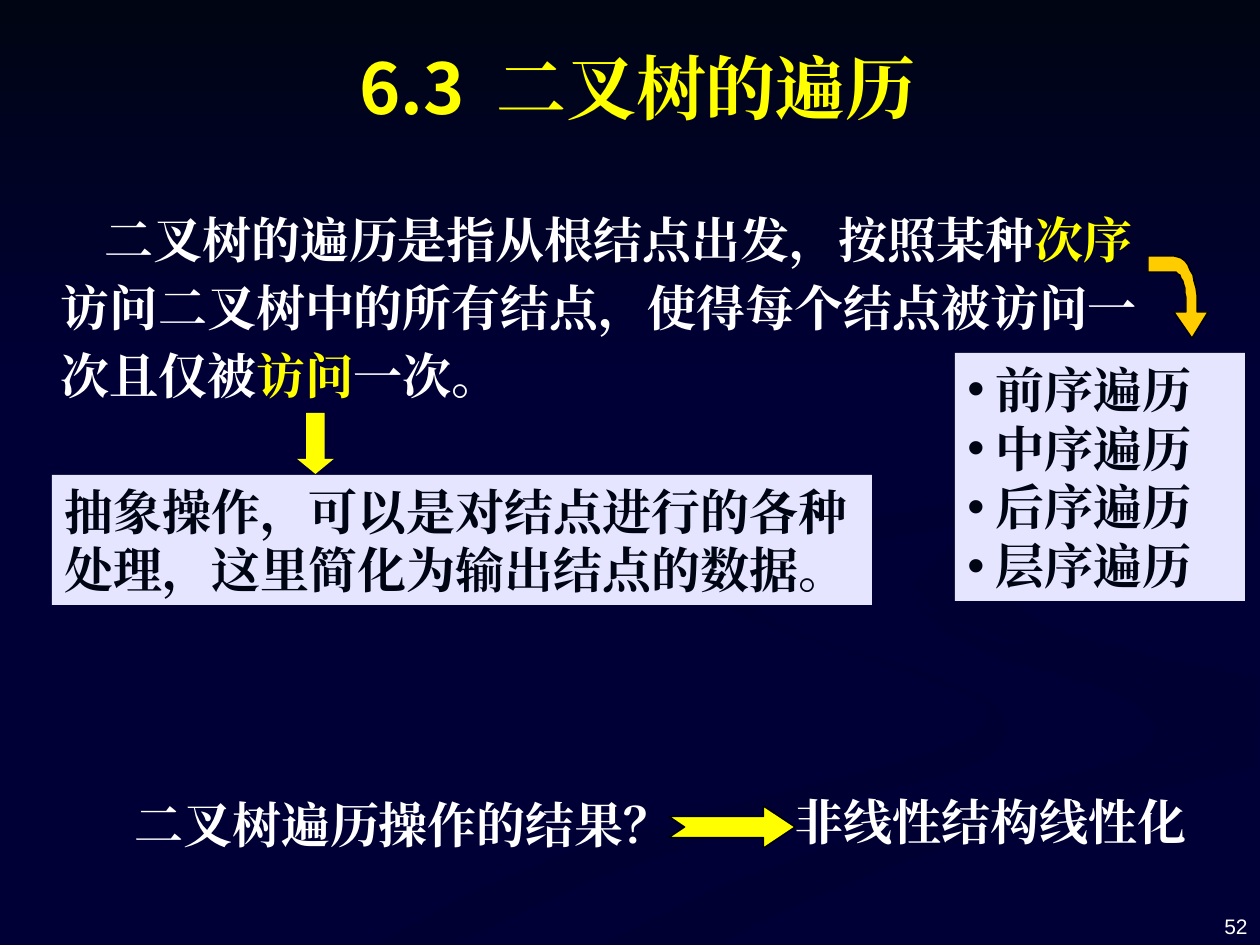
from lxml import etree
from pptx import Presentation, util as u
from pptx.dml.color import RGBColor
from pptx.enum import shapes, text
from pptx.oxml.ns import qn

PX = 914400 // 126
C = {"navy": "000036", "ink": "000514", "swirl": "000033", "white": "FFFFFF",
     "yellow": "FFFF00", "gold": "FFCC00", "pale": "E5E5FF", "black": "000000"}
SERIF, SANS, NUMBER = "Times New Roman", "Noto Sans CJK SC", "Arial"
BODY = dict(size=28, bold=True, name=SERIF)
MIDDLE = {"align": text.PP_ALIGN.CENTER, "anchor": text.MSO_ANCHOR.BOTTOM}
CORNER = {"align": text.PP_ALIGN.RIGHT, "anchor": text.MSO_ANCHOR.BOTTOM}

SWIRLS = [
    [(984, 697), (921, 671), (833, 646), (758, 618), (723, 585), (725, 578),
     (718, 595), (738, 614), (795, 636), (878, 662), (960, 691), (987, 704),
     (990, 718), (975, 735), (931, 753), (862, 772), (730, 805), (577, 849),
     (474, 891), (378, 944), (455, 944), (587, 882), (711, 838), (852, 799),
     (953, 774), (997, 752), (1008, 732), (998, 707)],
    [(1188, 718), (1172, 697), (1119, 674), (1046, 654), (975, 634), (924, 609),
     (912, 585), (919, 609), (951, 636), (1004, 660), (1094, 685), (1134, 702),
     (1156, 726), (1148, 747), (1126, 762), (1174, 743)],
    [(654, 941), (634, 944), (719, 944), (774, 915), (876, 872), (989, 833),
     (1138, 794), (1257, 767), (1257, 732), (1197, 754), (1092, 781),
     (963, 815), (834, 857), (717, 906)],
    [(985, 508), (1259, 488), (1259, 507), (1133, 528), (1036, 546), (985, 580),
     (1000, 606), (1069, 634), (1163, 659), (1259, 678), (1259, 732), (1138, 768),
     (1005, 804), (877, 843), (755, 889), (654, 941), (601, 944), (722, 886),
     (887, 825), (1062, 778), (1164, 747), (1187, 729), (1183, 708), (1141, 680),
     (1047, 654), (939, 617), (914, 585)],
    [(984, 580), (1004, 609), (1041, 625), (1016, 605), (1018, 590), (1062, 564),
     (1129, 548), (1257, 529), (1257, 507), (1131, 523), (1032, 542), (989, 571)],
    [(861, 542), (963, 525), (1040, 507), (1092, 484), (1120, 456), (1125, 422),
     (1109, 387), (1062, 346), (960, 294), (1066, 352), (1110, 394), (1119, 428),
     (1104, 454), (1061, 476), (961, 501), (852, 522), (775, 541), (731, 568),
     (731, 597), (784, 630), (752, 605), (751, 581), (786, 559)],
]
# A point is (x, y); a curve is three points: two controls and its end.
TURN = [(1192, 338), (1208, 312), (1197, 312), (1197, 302),
        ((1197, 277), (1187, 256), (1174, 256)), (1148, 256), (1148, 272), (1174, 272),
        ((1181, 272), (1186, 286), (1186, 302)), (1186, 312), (1174, 312)]

TITLE = [("6.3", "yellow", {"name": SANS}), (" ", "yellow", {"name": SANS, "spacing": 9}),
         ("二叉树的遍历", "yellow", {})]
DEFINITION = [("二叉树的遍历是指从根结点出发，按照某种", "white", {}), ("次序", "yellow", {}),
              ("访问二叉树中的所有结点，使得每个结点被访问一次且仅被", "white", {}),
              ("访问", "yellow", {}), ("一次。", "white", {})]
VISIT = [("抽象操作，可以是对结点进行的各种处理，这里简化为输出结点的数据。", "ink", {})]
ORDERS = ["前序遍历", "中序遍历", "后序遍历", "层序遍历"]
QUESTION = [("二叉树遍历操作的结果？", "white", {})]
ANSWER = [("非线性结构线性化", "white", {})]

# place, paragraphs of runs, font, layout
TEXTS = [
    ((966, 879, 294, 66), [[("52", "white", {})]], dict(size=12, bold=False, name=NUMBER), CORNER),
    ((134, 55, 1007, 80), [TITLE], {**BODY, "size": 40}, MIDDLE),
    ((48, 195, 1115, 215), [DEFINITION], BODY, {"line": 1.15, "indent": 44}),
    ((122, 788, 630, 72), [QUESTION], BODY, {}),
    ((795, 785, 462, 72), [ANSWER], BODY, {"inset": 0}),
    ((52, 475, 820, 130), [VISIT], BODY, {"fill": "pale"}),
    ((955, 353, 290, 248), [[(order, "ink", {})] for order in ORDERS], BODY,
     {"fill": "pale", "bullet": 28}),
]
ARROWS = [
    (shapes.MSO_SHAPE.NOTCHED_RIGHT_ARROW, (669, 806, 126, 42), (0.5, 0.75), "black"),
    (shapes.MSO_SHAPE.DOWN_ARROW, (297, 413, 37, 61), (0.5, 0.41), None),
]


def rgb(color):
    return RGBColor.from_string(C[color])


def emu(lengths):
    return [length * PX for length in lengths]


def paint(shape, color, edge=None):
    shape.shadow.inherit = False
    shape.fill.solid()
    shape.fill.fore_color.rgb = rgb(color)
    if edge:
        shape.line.color.rgb = rgb(edge)
        shape.line.width = u.Pt(0.75)
    else:
        shape.line.fill.background()


def flatten(outline, steps=10):
    """Return the outline with each curve cut into short straight steps."""
    points = []
    for part in outline:
        if isinstance(part[0], int):
            points.append(part)
            continue
        start = points[-1]
        for step in range(1, steps + 1):
            t = step / steps
            weights = ((1 - t) ** 3, 3 * t * (1 - t) ** 2, 3 * t * t * (1 - t), t ** 3)
            points.append(tuple(sum(w * p[axis] for w, p in zip(weights, (start, *part)))
                                for axis in (0, 1)))
    return points


def add_outline(slide, points, color, edge=None):
    builder = slide.shapes.build_freeform(*points[0], scale=PX)
    builder.add_line_segments(points[1:], close=True)
    paint(builder.convert_to_shape(), color, edge)


def add_run(paragraph, words, color, font):
    run = paragraph.add_run()
    run.text = words
    run.font.color.rgb = rgb(color)
    for key, value in font.items():
        if key == "spacing":
            run.font._element.set("spc", str(value * 100))
        else:
            setattr(run.font, key, u.Pt(value) if key == "size" else value)
    properties = run.font._element
    properties.set("lang", "zh-CN")
    properties.find(qn("a:latin")).addnext(
        properties.makeelement(qn("a:ea"), {"typeface": font["name"]}))


def add_text(slide, place, paragraphs, font, layout):
    box = slide.shapes.add_textbox(*emu(place))
    if "fill" in layout:
        paint(box, layout["fill"])
    frame = box.text_frame
    frame.word_wrap = True
    frame.vertical_anchor = layout.get("anchor", text.MSO_ANCHOR.TOP)
    if "inset" in layout:
        frame.margin_left = frame.margin_right = layout["inset"]
    for number, runs in enumerate(paragraphs):
        paragraph = frame.add_paragraph() if number else frame.paragraphs[0]
        paragraph.alignment = layout.get("align", text.PP_ALIGN.LEFT)
        paragraph.line_spacing = layout.get("line")
        properties = paragraph._p.get_or_add_pPr()
        if "indent" in layout:
            properties.set("indent", str(layout["indent"] * PX))
        if "bullet" in layout:
            hang = layout["bullet"] * PX
            properties.set("marL", str(hang))
            properties.set("indent", str(-hang))
            etree.SubElement(properties, qn("a:buFont"), typeface=NUMBER)
            etree.SubElement(properties, qn("a:buChar"), char="•")
        for words, color, changes in runs:
            add_run(paragraph, words, color, {**font, **changes})


def add_backdrop(slide):
    slide.background.fill.solid()
    slide.background.fill.fore_color.rgb = rgb("navy")
    for swirl in SWIRLS:
        add_outline(slide, swirl, "swirl")
    sky = slide.shapes.add_shape(shapes.MSO_SHAPE.RECTANGLE, *emu((0, 0, 1260, 388)))
    paint(sky, "navy")
    sky.fill.gradient()
    sky.fill.gradient_angle = 270
    for stop, color in zip(sky.fill.gradient_stops, ("ink", "navy")):
        stop.color.rgb = rgb(color)


def main():
    deck = Presentation()
    deck.slide_width, deck.slide_height = emu((1260, 945))
    slide = deck.slides.add_slide(deck.slide_layouts[6])
    add_backdrop(slide)
    for item in TEXTS:
        add_text(slide, *item)
    for kind, place, adjustments, edge in ARROWS:
        arrow = slide.shapes.add_shape(kind, *emu(place))
        paint(arrow, "yellow", edge)
        for number, value in enumerate(adjustments):
            arrow.adjustments[number] = value
    add_outline(slide, flatten(TURN), "gold", "black")
    deck.save("out.pptx")


if __name__ == "__main__":
    main()
